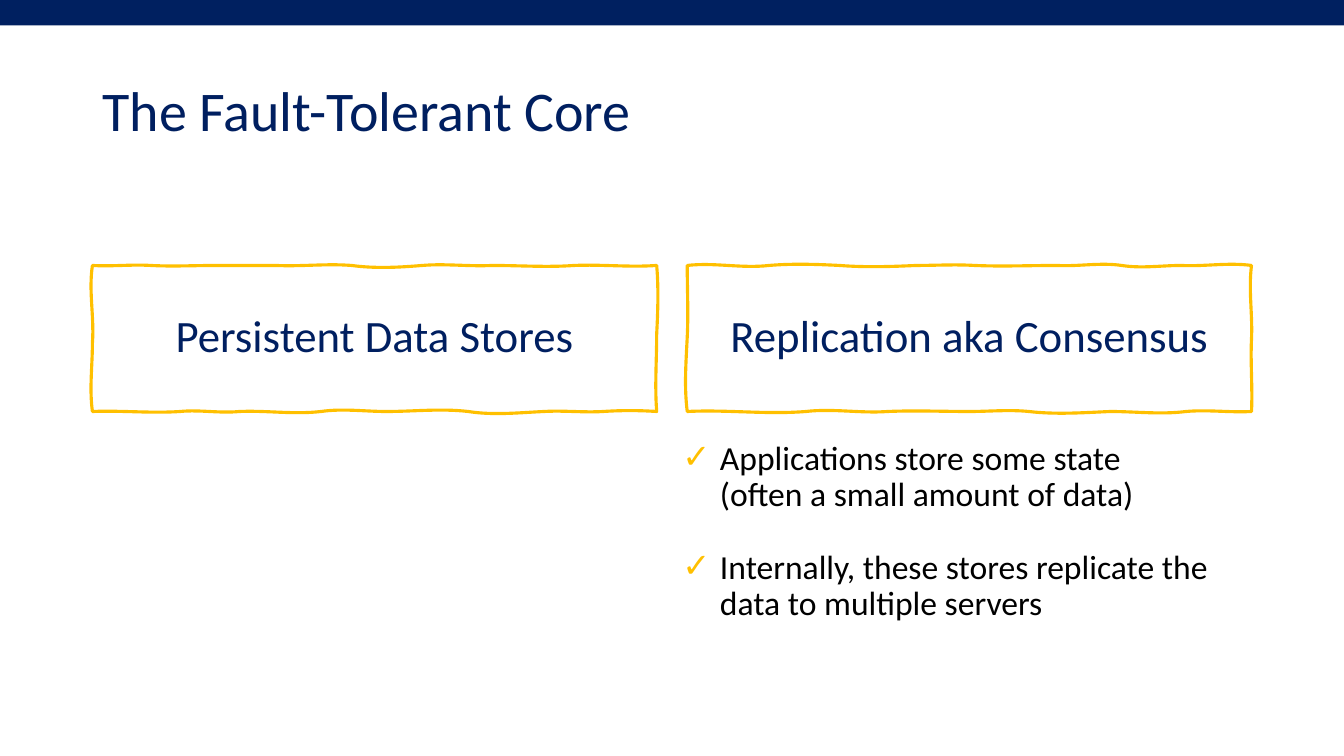
from dataclasses import dataclass

from lxml.etree import SubElement
from pptx import Presentation
from pptx.dml.color import RGBColor
from pptx.enum.shapes import MSO_SHAPE
from pptx.enum.text import MSO_ANCHOR as Anchor, MSO_AUTO_SIZE as AutoSize, PP_ALIGN as Align
from pptx.oxml.ns import qn
from pptx.util import Cm, Pt


@dataclass(frozen=True)
class Theme:
    """Colours, font and type sizes of the slide."""
    bar: RGBColor = RGBColor(0x00, 0x20, 0x60)
    heading: RGBColor = RGBColor(0x00, 0x1F, 0x60)
    accent: RGBColor = RGBColor(0xFF, 0xC0, 0x00)
    text: RGBColor = RGBColor(0, 0, 0)
    font: str = "Calibri"
    title_size: int = 40
    box_size: int = 32
    list_size: int = 24


THEME = Theme()
SLIDE_WIDTH, SLIDE_HEIGHT = 33.87, 19.05
BOX_WIDTH, BOX_HEIGHT = 14.22, 3.68
LEFT_STROKES = (
    ((1.47, 0.03, -0.03), (3.12, 0.03, 0), (4.62, 0, 0), (6.53, 0.03, -0.05),
     (8.31, 0.08, 0.05), (10.08, -0.05, 0.03), (12.14, 0, 0.05), (BOX_WIDTH, -0.03, 0.05)),
    ((1.73, 0.05, 0.03), (BOX_HEIGHT, 0, -0.05)),
    ((1.35, -0.03, -0.03), (2.84, 0.03, -0.03), (4.75, 0.03, 0.1), (6.81, -0.08, 0),
     (8.46, 0, -0.08), (10.52, 0.08, -0.03), (12.01, 0.05, -0.05), (BOX_WIDTH, 0.05, -0.03)),
    ((1.73, -0.08, 0), (BOX_HEIGHT, 0.05, -0.1)),
)
RIGHT_STROKES = (
    ((2.06, -0.08, 0.08), (3.84, -0.05, -0.03), (5.77, 0.05, 0.03), (7.24, 0, -0.03),
     (9.32, 0.03, 0), (10.95, 0.03, -0.08), (12.45, 0.08, 0), (BOX_WIDTH, 0.03, -0.08)),
    ((1.85, -0.08, 0.03), (BOX_HEIGHT, -0.03, 0.03)),
    ((1.65, 0.03, -0.05), (3.56, 0.08, 0), (5.61, 0.03, 0.08), (7.11, -0.05, 0),
     (9.17, 0, -0.03), (11.23, 0.05, -0.08), (BOX_WIDTH, 0.08, -0.05)),
    ((1.88, -0.08, -0.03), (BOX_HEIGHT, 0.03, 0)),
)


def place(shape, box):
    """Move a shape to a box of left, top, width and height in centimetres."""
    shape.left, shape.top, shape.width, shape.height = map(Cm, box)


def add_text(paragraph, text, size, colour):
    """Add text to a paragraph, run by run, with a break between its lines."""
    paragraph.line_spacing = 0.9
    for number, line in enumerate(text.split("\n")):
        if number:
            paragraph.add_line_break()
        run = paragraph.add_run()
        run.text = line
        run.font.name = THEME.font
        run.font.size = Pt(size)
        run.font.color.rgb = colour


def add_top_bar(slide, box):
    """Draw the solid bar along the top edge."""
    bar = slide.shapes.add_shape(MSO_SHAPE.RECTANGLE, *map(Cm, box))
    bar.shadow.inherit = False
    bar.fill.solid()
    bar.fill.fore_color.rgb = THEME.bar
    bar.line.fill.background()


def fill_title(slide, box, text):
    """Place and write the slide title."""
    title = slide.shapes.title
    place(title, box)
    frame = title.text_frame
    frame.auto_size = AutoSize.NONE
    frame.vertical_anchor = Anchor.MIDDLE
    paragraph = frame.paragraphs[0]
    paragraph.alignment = Align.LEFT
    add_text(paragraph, text, THEME.title_size, THEME.heading)


def sketched_curves(width, height, strokes):
    """Return the two controls and the end of each curve, clockwise from the top left."""
    corners = [(0, 0), (width, 0), (width, height), (0, height)]
    directions = [(1, 0), (0, 1), (-1, 0), (0, -1)]
    curves = []
    for (x, y), (across, down), side in zip(corners, directions, strokes):
        start = 0
        for end, first, second in side:
            third = (end - start) / 3
            steps = ((start + third, first), (end - third, second), (end, 0))
            curves.append([(Cm(x + across * along + abs(down) * shift),
                            Cm(y + down * along + abs(across) * shift))
                           for along, shift in steps])
            start = end
    return curves


def add_point(parent, x, y):
    """Append a point to an outline command."""
    return SubElement(parent, qn("a:pt"), x=str(x), y=str(y))


def add_sketched_box(slide, box, text, strokes):
    """Draw a hand-drawn box with centred text."""
    left, top, width, height = map(Cm, box)
    curves = sketched_curves(*box[2:], strokes)
    builder = slide.shapes.build_freeform(left, top)
    builder.add_line_segments([(left + x, top + y) for *controls, (x, y) in curves])
    shape = builder.convert_to_shape()
    for segment, curve in zip(list(shape._element.iter(qn("a:lnTo"))), curves):
        segment.tag = qn("a:cubicBezTo")
        for index, control in enumerate(curve[:2]):
            segment.insert(index, add_point(segment, *control))
    shape.shadow.inherit = False
    shape.fill.background()
    shape.line.color.rgb = THEME.accent
    shape.line.width = Pt(2.25)
    frame = shape.text_frame
    frame.word_wrap = True
    frame.vertical_anchor = Anchor.MIDDLE
    paragraph = frame.paragraphs[0]
    paragraph.alignment = Align.CENTER
    add_text(paragraph, text, THEME.box_size, THEME.heading)


def set_rectangular_outline(shape):
    """Give a placeholder its own rectangular outline."""
    width, height = shape.width, shape.height
    geometry = SubElement(shape._element.spPr, qn("a:custGeom"))
    SubElement(geometry, qn("a:rect"), l="l", t="t", r="r", b="b")
    paths = SubElement(geometry, qn("a:pathLst"))
    outline = SubElement(paths, qn("a:path"), w=str(width), h=str(height))
    corners = [(0, 0), (width, 0), (width, height), (0, height)]
    for number, corner in enumerate(corners):
        add_point(SubElement(outline, qn("a:lnTo" if number else "a:moveTo")), *corner)
    SubElement(outline, qn("a:close"))


def add_check_bullet(paragraph):
    """Give a paragraph a hanging check mark in the accent colour."""
    properties = paragraph._p.get_or_add_pPr()
    properties.set("marL", str(Cm(0.95)))
    properties.set("indent", str(-Cm(0.95)))
    colour = SubElement(properties, qn("a:buClr"))
    SubElement(colour, qn("a:srgbClr"), val=str(THEME.accent))
    SubElement(properties, qn("a:buChar"), char="✓")


def fill_check_list(slide, box, items):
    """Place and write the check list in the body placeholder."""
    body = slide.placeholders[1]
    place(body, box)
    set_rectangular_outline(body)
    frame = body.text_frame
    frame.auto_size = AutoSize.NONE
    frame.vertical_anchor = Anchor.MIDDLE
    for number, item in enumerate(items):
        paragraph = frame.add_paragraph() if number else frame.paragraphs[0]
        add_check_bullet(paragraph)
        paragraph.space_before = Pt(26 if number else 0)
        paragraph.space_after = Pt(0)
        add_text(paragraph, item, THEME.list_size, THEME.text)


def build_core_slide(presentation):
    """Build the slide with its title, two boxes and check list."""
    slide = presentation.slides.add_slide(presentation.slide_layouts[1])
    margin, box_top = 2.33, 6.69
    content_width = SLIDE_WIDTH - 2 * margin
    right_left = margin + content_width - BOX_WIDTH
    add_top_bar(slide, (0, 0, SLIDE_WIDTH, 0.64))
    fill_title(slide, (margin, 1.02, content_width, 3.68), "The Fault-Tolerant Core")
    add_sketched_box(slide, (margin, box_top, BOX_WIDTH, BOX_HEIGHT),
                     "Persistent Data Stores", LEFT_STROKES)
    add_sketched_box(slide, (right_left, box_top, BOX_WIDTH, BOX_HEIGHT),
                     "Replication aka Consensus", RIGHT_STROKES)
    fill_check_list(slide, (right_left - 0.38, 10.21, BOX_WIDTH, 6.38), [
        "Applications store some state\n(often a small amount of data)",
        "Internally, these stores replicate the data to multiple servers",
    ])


def main():
    """Create the presentation and save it."""
    presentation = Presentation()
    presentation.slide_width = Cm(SLIDE_WIDTH)
    presentation.slide_height = Cm(SLIDE_HEIGHT)
    build_core_slide(presentation)
    presentation.save("out.pptx")


if __name__ == "__main__":
    main()
